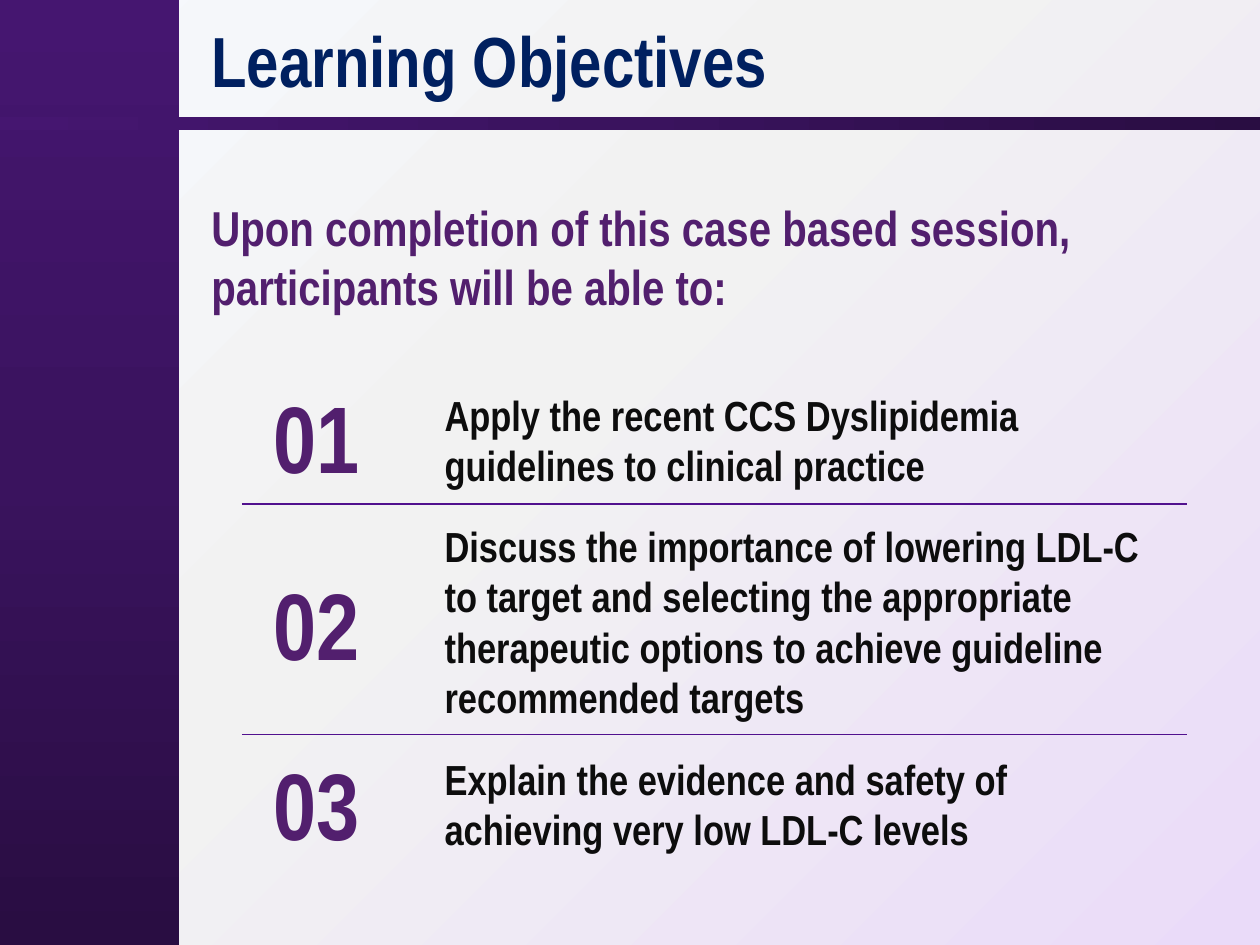
from copy import deepcopy

from lxml.etree import SubElement
from pptx import Presentation
from pptx.dml.color import RGBColor
from pptx.enum.shapes import MSO_CONNECTOR, MSO_SHAPE
from pptx.enum.text import MSO_AUTO_SIZE
from pptx.oxml.ns import qn
from pptx.util import Inches, Pt

COLORS = {
    "title": "002060",
    "accent": "521F6E",
    "body": "0D0D0D",
    "divider": "51118E",
}
PURPLE_STOPS = [(0, "290D42"), (0.5, "3A135E"), (1, "451670")]
PALE_STOPS = [(0, "F6F8FC"), (0.43, "F2F2F2"), (1, "EADBF9")]
COLUMNS, ROWS = 100, 75


class SlideBuilder:
    font_name = "Arial Narrow"

    def __init__(self, presentation):
        self.column = presentation.slide_width / COLUMNS
        self.row = presentation.slide_height / ROWS
        self.slide = presentation.slides.add_slide(presentation.slide_layouts[6])

    def place(self, left, top, width, height):
        return [
            round(length * unit)
            for length, unit in zip(
                (left, top, width, height), (self.column, self.row) * 2
            )
        ]

    def gradient(self, fill, element, stops, angle):
        fill.gradient()
        fill.gradient_angle = angle
        stop_list = next(element.iter(qn("a:gsLst")))
        stop_list.append(deepcopy(stop_list[0]))
        for stop, (position, color) in zip(fill.gradient_stops, stops):
            stop.position = position
            stop.color.rgb = RGBColor.from_string(color)

    def background(self, stops, angle):
        self.gradient(self.slide.background.fill, self.slide.element, stops, angle)

    def band(self, box, angle):
        shape = self.slide.shapes.add_shape(MSO_SHAPE.RECTANGLE, *self.place(*box))
        shape.shadow.inherit = False
        shape.line.fill.background()
        self.gradient(shape.fill, shape.element, PURPLE_STOPS, angle)

    def text(self, words, box, size, color, wrap=True):
        shape = self.slide.shapes.add_textbox(*self.place(*box))
        frame = shape.text_frame
        frame.word_wrap = wrap
        frame.auto_size = MSO_AUTO_SIZE.SHAPE_TO_FIT_TEXT
        paragraph = frame.paragraphs[0]
        run = paragraph.add_run()
        run.text = words
        font_format = {"name": self.font_name, "size": Pt(size), "bold": True}
        for name, value in font_format.items():
            setattr(run.font, name, value)
        run.font.color.rgb = RGBColor.from_string(COLORS[color])

    def divider(self, left, right, top):
        connector = self.slide.shapes.add_connector(
            MSO_CONNECTOR.STRAIGHT, *self.place(left, top, right, top)
        )
        connector.line.color.rgb = RGBColor.from_string(COLORS["divider"])
        connector.line.width = Pt(0.75)
        SubElement(connector.element.spPr, qn("a:effectLst"))


def main():
    presentation = Presentation()
    presentation.slide_width = Inches(10)
    presentation.slide_height = Inches(7.5)

    builder = SlideBuilder(presentation)
    builder.background(PALE_STOPS, 315)
    builder.band((-0.2, 0, 14.4, 75), 90)
    builder.band((-0.2, 9.3, 100.2, 1), 180)

    builder.text("Learning Objectives", (15.8, 0.8, 84.2, 7.8), 40.5, "title")
    builder.text(
        "Upon completion of this case based session, participants will be able to:",
        (15.8, 15.2, 80.5, 10.4), 28, "accent",
    )

    objectives = [
        ("Apply the recent CCS Dyslipidemia guidelines to clinical practice",
         29.6, 30.4, 9.1),
        ("Discuss the importance of lowering LDL-C to target and selecting the "
         "appropriate therapeutic options to achieve guideline recommended targets",
         44.4, 40.8, 17.2),
        ("Explain the evidence and safety of achieving very low LDL-C levels",
         58.7, 59.3, 9.1),
    ]
    for number, (words, number_top, top, height) in enumerate(objectives, 1):
        builder.text(
            f"{number:02}", (20.7, number_top, 8.9, 10.1), 54, "accent", wrap=False
        )
        builder.text(words, (34.3, top, 59.9, height), 24, "body")

    for top in (40, 58.3):
        builder.divider(19.2, 94.2, top)

    presentation.save("out.pptx")


if __name__ == "__main__":
    main()
